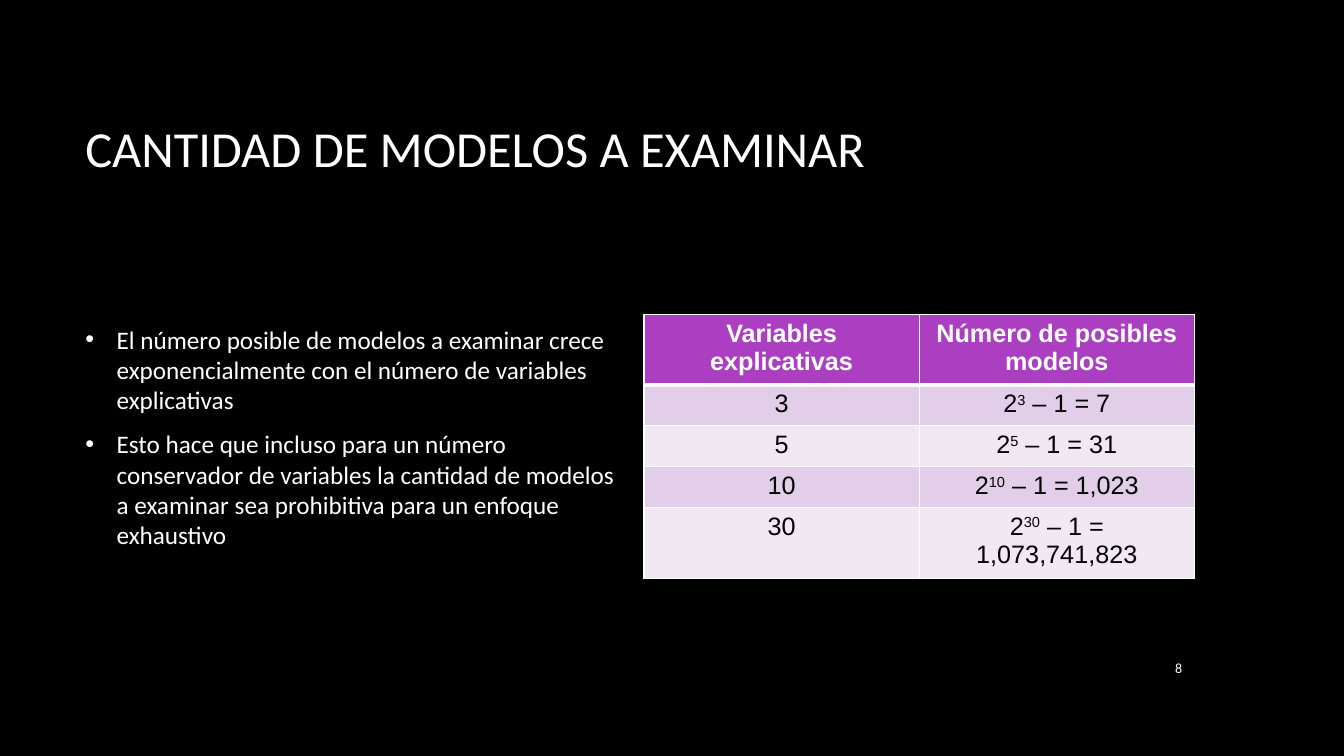
from dataclasses import dataclass

from pptx import Presentation
from pptx.dml.color import RGBColor
from pptx.enum.text import MSO_ANCHOR, PP_ALIGN
from pptx.oxml import parse_xml
from pptx.oxml.ns import nsdecls
from pptx.util import Cm, Pt

LEFT, CENTER, RIGHT = PP_ALIGN.LEFT, PP_ALIGN.CENTER, PP_ALIGN.RIGHT
MIDDLE = MSO_ANCHOR.MIDDLE
WHITE, BLACK, PURPLE = "FFFFFF", "000000", "AC3EC1"
BANDS = ("E3CEE9", "F1E8F4")


@dataclass
class TextBox:
    paragraphs: list[str]
    left: float
    top: float
    width: float
    height: float
    size: int
    align: PP_ALIGN = LEFT
    bullet: bool = False


@dataclass
class ModelCount:
    variables: int
    models: str


BOXES = [
    TextBox(["CANTIDAD DE MODELOS A EXAMINAR"], 1.9, 1.7, 28.15, 4.04, 36),
    TextBox(["El número posible de modelos a examinar crece exponencialmente "
             "con el número de variables explicativas",
             "Esto hace que incluso para un número conservador de variables la "
             "cantidad de modelos a examinar sea prohibitiva para un enfoque "
             "exhaustivo"], 1.9, 5.94, 13.87, 10.13, 18, bullet=True),
    TextBox(["8"], 28.52, 16.31, 1.52, 1.04, 10, align=RIGHT),
]
HEADERS = ("Variables explicativas", "Número de posibles modelos")
COUNTS = [ModelCount(3, "7"), ModelCount(5, "31"),
          ModelCount(10, "1,023"), ModelCount(30, "1,073,741,823")]


def rgb(color: str) -> RGBColor:
    return RGBColor.from_string(color)


def add_run(p, text: str, *, size: int = 18, font: str = "Arial",
            color: str = BLACK, bold: bool = False, baseline: int = 0) -> None:
    r = p.add_run()
    r.text = text
    r.font.size, r.font.name, r.font.bold = Pt(size), font, bold
    r.font.color.rgb = rgb(color)
    if baseline:
        r._r.get_or_add_rPr().set("baseline", str(baseline * 1000))


def add_bullet(p) -> None:
    p.space_after = Pt(10)
    pPr = p._p.get_or_add_pPr()
    pPr.set("marL", str(Cm(0.79)))
    pPr.set("indent", str(-Cm(0.79)))
    pPr.append(parse_xml(f'<a:buClr {nsdecls("a")}><a:srgbClr val="{WHITE}"/></a:buClr>'))
    pPr.append(parse_xml(f'<a:buFont {nsdecls("a")} typeface="Arial"/>'))
    pPr.append(parse_xml(f'<a:buChar {nsdecls("a")} char="•"/>'))


def add_text_box(s, box: TextBox) -> None:
    sp = s.shapes.add_textbox(Cm(box.left), Cm(box.top), Cm(box.width), Cm(box.height))
    tf = sp.text_frame
    tf.word_wrap, tf.vertical_anchor = True, MIDDLE
    for i, text in enumerate(box.paragraphs):
        p = tf.add_paragraph() if i else tf.paragraphs[0]
        p.alignment = box.align
        if box.bullet:
            add_bullet(p)
        add_run(p, text, size=box.size, font="Calibri", color=WHITE)


def style_cell(cell, fill: str, top: int = 1, bottom: int = 1):
    """Set borders and fill, and return the centred paragraph."""
    tcPr = cell._tc.get_or_add_tcPr()
    for side, width in (("L", 1), ("R", 1), ("T", top), ("B", bottom)):
        tcPr.append(parse_xml(
            f'<a:ln{side} {nsdecls("a")} w="{Pt(width)}"><a:solidFill>'
            f'<a:srgbClr val="{WHITE}"/></a:solidFill></a:ln{side}>'))
    cell.fill.solid()
    cell.fill.fore_color.rgb = rgb(fill)
    p = cell.text_frame.paragraphs[0]
    p.alignment = CENTER
    return p


def add_model_table(s) -> None:
    rows = len(COUNTS) + 1
    table = s.shapes.add_table(rows, 2, Cm(16.23), Cm(7.92),
                               Cm(13.87), Cm(1.03 * rows)).table
    for col, header in enumerate(HEADERS):
        p = style_cell(table.cell(0, col), PURPLE, bottom=3)
        add_run(p, header, color=WHITE, bold=True)
    for row, count in enumerate(COUNTS, start=1):
        fill = BANDS[(row - 1) % 2]
        top = 3 if row == 1 else 1
        p = style_cell(table.cell(row, 0), fill, top)
        add_run(p, str(count.variables))
        p = style_cell(table.cell(row, 1), fill, top)
        add_run(p, "2")
        add_run(p, str(count.variables), baseline=30)
        add_run(p, f" – 1 = {count.models}")


def main() -> None:
    prs = Presentation()
    prs.slide_width, prs.slide_height = Cm(33.87), Cm(19.05)
    s = prs.slides.add_slide(prs.slide_layouts[6])

    # Black background
    s.background.fill.solid()
    s.background.fill.fore_color.rgb = rgb(BLACK)

    # Title, bullets and page number
    for box in BOXES:
        add_text_box(s, box)

    # Number of models by number of variables
    add_model_table(s)
    prs.save("out.pptx")


if __name__ == "__main__":
    main()
